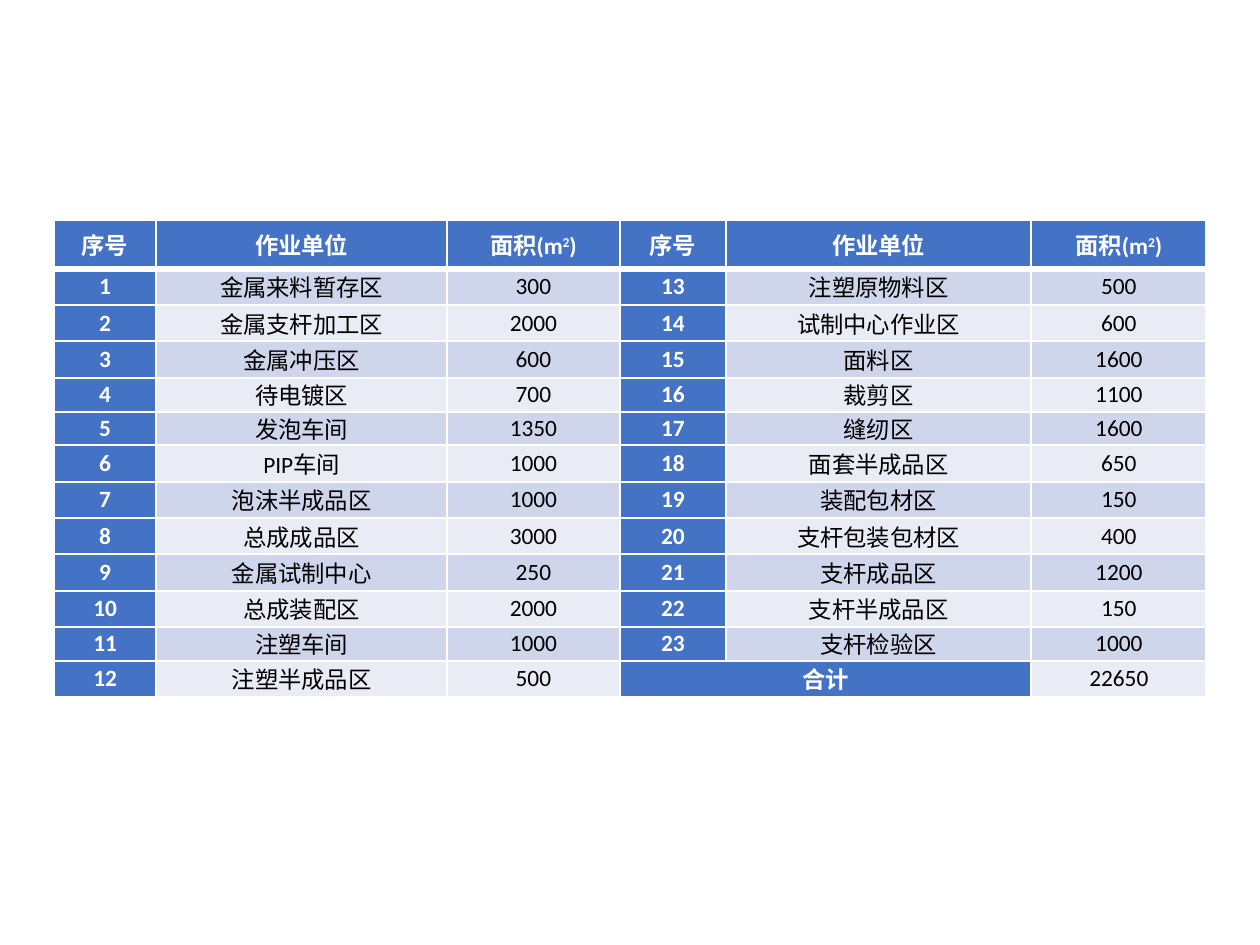
from dataclasses import dataclass

import lxml.etree
import pptx
import pptx.dml.color
import pptx.enum.text
import pptx.oxml.ns
import pptx.table
import pptx.util

Inches = pptx.util.Inches
WHITE, BLACK, BLUE = "FFFFFF", "000000", "4472C4"
BANDS = ("CFD5EA", "E9EBF5")
SLIDE_WIDTH = 7.5
SLIDE_HEIGHT = SLIDE_WIDTH * 3 / 4
COL_WIDTHS = (0.61, 1.73, 1.03, 0.63, 1.82, 1.04)
ROWS_PER_SIDE = 12
SHORT_ROWS = (4, 5, 11)
TABLE_HEIGHT, HEADER_HEIGHT, SHORT_HEIGHT = 2.75, 0.29, 0.17
TALL_SPACE = TABLE_HEIGHT - HEADER_HEIGHT - SHORT_HEIGHT * len(SHORT_ROWS)
ROW_HEIGHT = TALL_SPACE / (ROWS_PER_SIDE - len(SHORT_ROWS))


@dataclass(frozen=True)
class WorkUnit:
    name: str
    area: int


@dataclass(frozen=True)
class CellStyle:
    fill: str
    color: str
    bold: bool


HEADING = CellStyle(BLUE, WHITE, True)

UNITS = (
    WorkUnit("金属来料暂存区", 300),
    WorkUnit("金属支杆加工区", 2000),
    WorkUnit("金属冲压区", 600),
    WorkUnit("待电镀区", 700),
    WorkUnit("发泡车间", 1350),
    WorkUnit("PIP车间", 1000),
    WorkUnit("泡沫半成品区", 1000),
    WorkUnit("总成成品区", 3000),
    WorkUnit("金属试制中心", 250),
    WorkUnit("总成装配区", 2000),
    WorkUnit("注塑车间", 1000),
    WorkUnit("注塑半成品区", 500),
    WorkUnit("注塑原物料区", 500),
    WorkUnit("试制中心作业区", 600),
    WorkUnit("面料区", 1600),
    WorkUnit("裁剪区", 1100),
    WorkUnit("缝纫区", 1600),
    WorkUnit("面套半成品区", 650),
    WorkUnit("装配包材区", 150),
    WorkUnit("支杆包装包材区", 400),
    WorkUnit("支杆成品区", 1200),
    WorkUnit("支杆半成品区", 150),
    WorkUnit("支杆检验区", 1000),
)


def rgb(value: str) -> pptx.dml.color.RGBColor:
    return pptx.dml.color.RGBColor.from_string(value)


def row_height(row: int) -> float:
    if row == 0:
        return HEADER_HEIGHT
    return SHORT_HEIGHT if row in SHORT_ROWS else ROW_HEIGHT


def body_style(row: int) -> CellStyle:
    return CellStyle(BANDS[(row - 1) % 2], BLACK, False)


def set_borders(cell: pptx.table._Cell, row: int) -> None:
    qn = pptx.oxml.ns.qn
    tc_pr = cell._tc.get_or_add_tcPr()
    widths = {"lnL": 1, "lnR": 1, "lnT": 3 if row == 1 else 1, "lnB": 3 if row == 0 else 1}
    for tag, width in widths.items():
        ln = lxml.etree.SubElement(tc_pr, qn(f"a:{tag}"), w=str(pptx.util.Pt(width)))
        fill = lxml.etree.SubElement(ln, qn("a:solidFill"))
        lxml.etree.SubElement(fill, qn("a:srgbClr"), val=WHITE)


def format_cell(cell: pptx.table._Cell, row: int, style: CellStyle) -> None:
    set_borders(cell, row)
    cell.fill.solid()
    cell.fill.fore_color.rgb = rgb(style.fill)
    cell.margin_left = cell.margin_right = Inches(0.03)
    cell.margin_top = cell.margin_bottom = Inches(0)
    cell.vertical_anchor = pptx.enum.text.MSO_ANCHOR.MIDDLE


def add_run(cell: pptx.table._Cell, text: str, style: CellStyle, baseline: int = 0) -> None:
    p = cell.text_frame.paragraphs[0]
    p.alignment = pptx.enum.text.PP_ALIGN.CENTER
    r = p.add_run()
    r.text = text
    r.font.name = "Calibri"
    r.font.size = pptx.util.Pt(10)
    r.font.bold = style.bold
    r.font.color.rgb = rgb(style.color)
    if baseline:
        r.font._element.set("baseline", str(baseline * 1000))


def fill_header(table: pptx.table.Table, first_col: int) -> None:
    add_run(table.cell(0, first_col), "序号", HEADING)
    add_run(table.cell(0, first_col + 1), "作业单位", HEADING)
    area = table.cell(0, first_col + 2)
    add_run(area, "面积(m", HEADING)
    add_run(area, "2", HEADING, baseline=30)
    add_run(area, ")", HEADING)


def fill_unit(table: pptx.table.Table, index: int, unit: WorkUnit) -> None:
    side, offset = divmod(index, ROWS_PER_SIDE)
    row, col = offset + 1, side * 3
    add_run(table.cell(row, col), str(index + 1), HEADING)
    add_run(table.cell(row, col + 1), unit.name, body_style(row))
    add_run(table.cell(row, col + 2), str(unit.area), body_style(row))


def fill_total(table: pptx.table.Table) -> None:
    row = ROWS_PER_SIDE
    label = table.cell(row, 3)
    label.merge(table.cell(row, 4))
    add_run(label, "合计", HEADING)
    add_run(table.cell(row, 5), str(sum(unit.area for unit in UNITS)), body_style(row))


def main() -> None:
    prs = pptx.Presentation()
    prs.slide_width, prs.slide_height = Inches(SLIDE_WIDTH), Inches(SLIDE_HEIGHT)
    s = prs.slides.add_slide(prs.slide_layouts[6])
    frame = s.shapes.add_table(
        ROWS_PER_SIDE + 1, len(COL_WIDTHS), Inches(0.32), Inches(1.31),
        Inches(sum(COL_WIDTHS)), Inches(TABLE_HEIGHT),
    )
    table = frame.table
    for column, width in zip(table.columns, COL_WIDTHS):
        column.width = Inches(width)
    for row in range(ROWS_PER_SIDE + 1):
        table.rows[row].height = Inches(row_height(row))
        for col in range(len(COL_WIDTHS)):
            is_heading = row == 0 or col % 3 == 0 or (row, col) == (ROWS_PER_SIDE, 4)
            format_cell(table.cell(row, col), row, HEADING if is_heading else body_style(row))
    for first_col in (0, 3):
        fill_header(table, first_col)
    for index, unit in enumerate(UNITS):
        fill_unit(table, index, unit)
    fill_total(table)
    prs.save("out.pptx")


if __name__ == "__main__":
    main()
